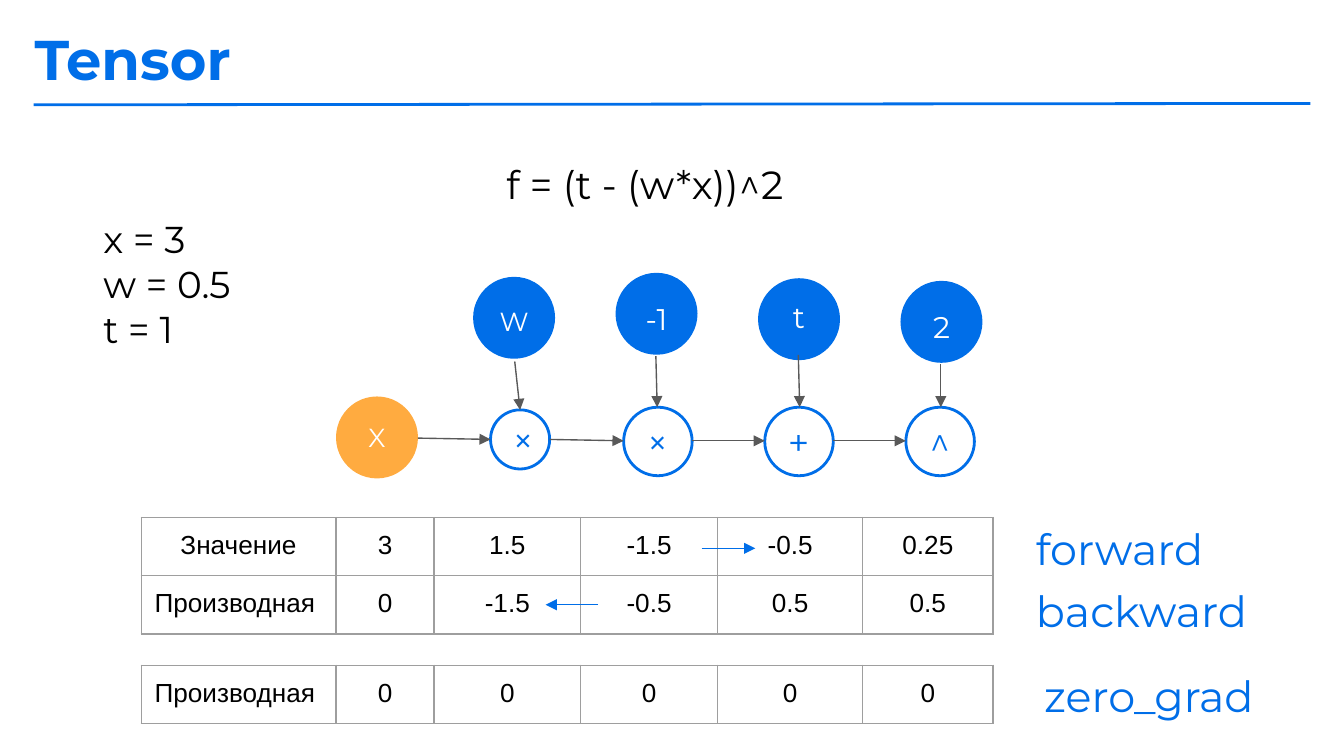
"""Build the Tensor slide: a computation graph with its value and gradient tables."""
import dataclasses
import typing

import lxml.etree
import pptx
import pptx.dml.color
import pptx.enum.shapes
import pptx.enum.text
import pptx.oxml.ns
import pptx.util

Inches = pptx.util.Inches
Align = pptx.enum.text.PP_ALIGN
Anchor = pptx.enum.text.MSO_ANCHOR
qn = pptx.oxml.ns.qn


@dataclasses.dataclass(frozen=True)
class Theme:
    blue: str = "006EE8"
    orange: str = "FFAB40"
    white: str = "FFFFFF"
    black: str = "000000"
    arrow: str = "595959"
    border: str = "9E9E9E"
    font: str = "Montserrat"
    table_font: str = "Arial"
    title: int = 30
    caption: int = 23
    formula: int = 21
    body: int = 20
    node: int = 16
    small: int = 14
    thick: float = 1.5
    thin: float = 0.75


THEME = Theme()


class Label(typing.NamedTuple):
    lines: tuple[str, ...]
    left: float
    top: float
    width: float
    height: float
    size: int
    color: str
    bold: bool = False


class Input(typing.NamedTuple):
    text: str
    left: float
    top: float
    label_offset: float
    size: int


class Operation(typing.NamedTuple):
    text: str
    left: float
    top: float
    diameter: float


class Line(typing.NamedTuple):
    start: tuple[float, float]
    end: tuple[float, float]
    color: str = THEME.arrow
    width: float = THEME.thin
    arrow: bool = True


class Grid(typing.NamedTuple):
    top: float
    heights: tuple[float, ...]
    rows: tuple[tuple[str, ...], ...]


SLIDE_WIDTH = 10
INPUT_DIAMETER = 0.61
TABLE_LEFT = 1.05
COLUMN_WIDTHS = (1.45, 0.73, 1.09, 1.02, 1.08, 0.97)
AXIS = 3.28

LABELS = (
    Label(("Tensor",), 0.16, 0.08, 7.51, 0.7, THEME.title, THEME.blue, True),
    Label(("f = (t - (w*x))^2",), 3.67, 1.09, 2.44, 0.62, THEME.formula, THEME.black),
    Label(("x = 3", "w = 0.5", "t = 1"), 0.67, 1.51, 1.48, 1.18, THEME.body, THEME.black),
    Label(("forward",), 7.61, 3.79, 1.82, 0.51, THEME.caption, THEME.blue),
    Label(("backward",), 7.61, 4.25, 1.82, 0.51, THEME.caption, THEME.blue),
    Label(("zero_grad",), 7.67, 4.88, 1.82, 0.51, THEME.caption, THEME.blue),
)
INPUTS = (
    Input("W", 3.52, 2.06, 0.11, THEME.small),
    Input("-1", 4.58, 2.03, 0.11, THEME.node),
    Input("t", 5.64, 2.07, 0.05, THEME.node),
    Input("2", 6.7, 2.09, 0.11, THEME.node),
)
OPERATIONS = (
    Operation("×", 3.65, 3.05, 0.44),
    Operation("×", 4.64, 3.03, 0.51),
    Operation("+", 5.69, 3.03, 0.51),
    Operation("^", 6.74, 3.03, 0.51),
)
LINES = (
    Line((0.25, 0.78), (9.75, 0.77), THEME.blue, THEME.thick, False),
    Line((3.83, 2.69), (3.87, 3.05)),
    Line((4.88, 2.65), (4.89, 3.03)),
    Line((5.94, 2.64), (5.95, 3.03)),
    Line((7, 2.71), (7, 3.03)),
    Line((3.11, 3.26), (3.65, 3.27)),
    Line((4.09, 3.27), (4.64, AXIS)),
    Line((5.15, AXIS), (5.69, AXIS)),
    Line((6.2, AXIS), (6.74, AXIS)),
    Line((5.22, 4.08), (5.62, 4.08), THEME.blue),
    Line((4.45, 4.5), (4.06, 4.5), THEME.blue),
)
GRIDS = (
    Grid(3.85, (0.43, 0.42), (
        ("Значение", "3", "1.5", "-1.5", "-0.5", "0.25"),
        ("Производная", "0", "-1.5", "-0.5", "0.5", "0.5"),
    )),
    Grid(4.95, (0.42,), (("Производная", "0", "0", "0", "0", "0"),)),
)


def rgb(color: str) -> pptx.dml.color.RGBColor:
    """Turn a hex string into a colour."""
    return pptx.dml.color.RGBColor.from_string(color)


def write(frame, lines: tuple[str, ...], size: int, color: str, align=Align.LEFT,
          font: str = THEME.font, bold: bool = False) -> None:
    """Write one paragraph per line."""
    for index, text in enumerate(lines):
        para = frame.add_paragraph() if index else frame.paragraphs[0]
        para.alignment = align
        span = para.add_run()
        span.text = text
        span.font.name, span.font.size = font, pptx.util.Pt(size)
        span.font.bold, span.font.color.rgb = bold, rgb(color)


def pad(frame) -> None:
    """Give a text frame wrapping and equal insets."""
    frame.word_wrap = True
    frame.margin_left = frame.margin_right = Inches(0.1)
    frame.margin_top = frame.margin_bottom = Inches(0.1)


def draw_label(shapes, label: Label, align=Align.LEFT) -> None:
    """Draw a text box."""
    box = shapes.add_textbox(Inches(label.left), Inches(label.top),
                             Inches(label.width), Inches(label.height))
    pad(box.text_frame)
    write(box.text_frame, label.lines, label.size, label.color, align, bold=label.bold)


def draw_circle(shapes, left: float, top: float, diameter: float, fill: str,
                outline: str | None = None):
    """Draw a circle and return it."""
    circle = shapes.add_shape(pptx.enum.shapes.MSO_SHAPE.OVAL, Inches(left), Inches(top),
                              Inches(diameter), Inches(diameter))
    circle.shadow.inherit = False
    circle.fill.solid()
    circle.fill.fore_color.rgb = rgb(fill)
    if outline:
        circle.line.color.rgb = rgb(outline)
        circle.line.width = pptx.util.Pt(THEME.thick)
    else:
        circle.line.fill.background()
    pad(circle.text_frame)
    circle.text_frame.vertical_anchor = Anchor.MIDDLE
    return circle


def draw_input(shapes, node: Input) -> None:
    """Draw a filled input node grouped with its label."""
    group = shapes.add_group_shape().shapes
    draw_circle(group, node.left, node.top, INPUT_DIAMETER, THEME.blue)
    draw_label(group, Label((node.text,), node.left, node.top + node.label_offset,
                            INPUT_DIAMETER, 0.51, node.size, THEME.white), Align.CENTER)


def draw_line(shapes, line: Line) -> None:
    """Draw a straight line with an optional arrowhead."""
    connector = shapes.add_connector(pptx.enum.shapes.MSO_CONNECTOR.STRAIGHT,
                                     *map(Inches, line.start + line.end))
    connector.line.color.rgb = rgb(line.color)
    connector.line.width = pptx.util.Pt(line.width)
    if line.arrow:
        lxml.etree.SubElement(connector.line._get_or_add_ln(), qn("a:tailEnd"), type="triangle")
    lxml.etree.SubElement(connector._element.spPr, qn("a:effectLst"))


def add_borders(cell) -> None:
    """Outline all four sides of a cell."""
    properties = cell._tc.get_or_add_tcPr()
    for index, side in enumerate(("a:lnL", "a:lnR", "a:lnT", "a:lnB")):
        edge = lxml.etree.Element(qn(side), w=str(pptx.util.Pt(THEME.thin)))
        fill = lxml.etree.SubElement(edge, qn("a:solidFill"))
        lxml.etree.SubElement(fill, qn("a:srgbClr"), val=THEME.border)
        properties.insert(index, edge)


def draw_grid(shapes, grid: Grid) -> None:
    """Draw a bordered table without fill."""
    table = shapes.add_table(len(grid.rows), len(COLUMN_WIDTHS), Inches(TABLE_LEFT),
                             Inches(grid.top), Inches(sum(COLUMN_WIDTHS)),
                             Inches(sum(grid.heights))).table
    table.first_row = table.horz_banding = False
    for column, width in zip(table.columns, COLUMN_WIDTHS):
        column.width = Inches(width)
    for row, height, texts in zip(table.rows, grid.heights, grid.rows):
        row.height = Inches(height)
        for cell, text in zip(row.cells, texts):
            cell.fill.background()
            cell.margin_left = cell.margin_right = Inches(0.1)
            cell.margin_top = cell.margin_bottom = Inches(0.1)
            align = Align.LEFT if text == "Производная" else Align.CENTER
            write(cell.text_frame, (text,), THEME.small, THEME.black, align, THEME.table_font)
            add_borders(cell)


def main() -> None:
    """Build and save the deck."""
    deck = pptx.Presentation()
    deck.slide_width, deck.slide_height = Inches(SLIDE_WIDTH), Inches(SLIDE_WIDTH * 9 / 16)
    shapes = deck.slides.add_slide(deck.slide_layouts[6]).shapes
    for label in LABELS:
        draw_label(shapes, label)
    source = draw_circle(shapes, 2.5, 2.95, INPUT_DIAMETER, THEME.orange)
    write(source.text_frame, ("X",), THEME.small, THEME.white, Align.CENTER)
    for node in INPUTS:
        draw_input(shapes, node)
    for node in OPERATIONS:
        circle = draw_circle(shapes, node.left, node.top, node.diameter, THEME.white, THEME.blue)
        write(circle.text_frame, (node.text,), THEME.body, THEME.blue)
    for grid in GRIDS:
        draw_grid(shapes, grid)
    for line in LINES:
        draw_line(shapes, line)
    deck.save("out.pptx")


if __name__ == "__main__":
    main()
